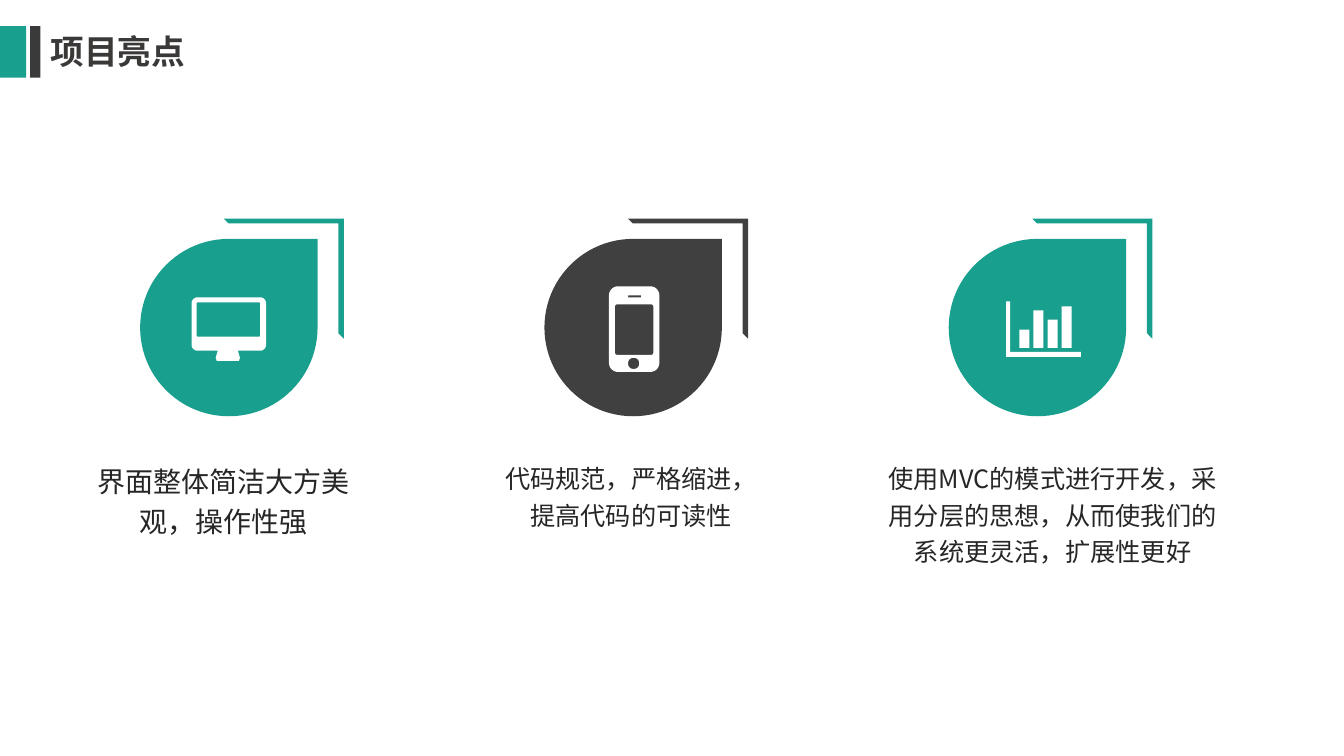
from math import cos, pi, sin

from lxml import etree
from pptx import Presentation, util as u
from pptx.dml.color import RGBColor
from pptx.enum import shapes, text
from pptx.oxml.ns import qn

FONT = "Noto Sans CJK SC"
TEAL, GRAY, WHITE = "199F8E", "404040", "FFFFFF"
TITLE_COLOR, BODY_COLOR, BAR_COLOR = "3B3838", "262626", "3A3A3A"
DROP_SIZE, DROP_TOP, FIRST_LEFT, COLUMN_PITCH = 1.76, 2.37, 1.39, 4.01


def color(hex_string):
    """Turn a hex string into a colour."""
    return RGBColor.from_string(hex_string)


def paint(shape, fill):
    """Give a shape a flat fill with no line or shadow."""
    shape.shadow.inherit = False
    shape.fill.solid()
    shape.fill.fore_color.rgb = color(fill)
    shape.line.fill.background()


def add_block(slide, preset, left, top, width, height, fill):
    """Add a flat preset shape."""
    shape = slide.shapes.add_shape(preset, *map(u.Inches, (left, top, width, height)))
    paint(shape, fill)
    return shape


def write(frame, words, size, fill, bold=False, align=text.PP_ALIGN.CENTER, spacing=1.0, after=0):
    """Write one formatted paragraph into a text frame."""
    frame.word_wrap = True
    paragraph = frame.paragraphs[0]
    paragraph.alignment = align
    paragraph.line_spacing = spacing
    paragraph.space_before = u.Pt(0)
    paragraph.space_after = u.Pt(after)
    run = paragraph.add_run()
    run.text = words
    run.font.size = u.Pt(size)
    run.font.bold = bold
    run.font.color.rgb = color(fill)
    run.font.name = FONT
    etree.SubElement(run._r.get_or_add_rPr(), qn("a:ea"), typeface=FONT)


def rounded(left, top, width, height, radius=0.0):
    """Return the outline of a rectangle with rounded corners."""
    if not radius:
        return [(left, top), (left + width, top),
                (left + width, top + height), (left, top + height)]
    centers = [(left + width - radius, top + height - radius), (left + radius, top + height - radius),
               (left + radius, top + radius), (left + width - radius, top + radius)]
    steps = 6
    return [(x + radius * cos(angle), y + radius * sin(angle))
            for corner, (x, y) in enumerate(centers)
            for angle in ((corner + step / steps) * pi / 2 for step in range(steps + 1))]


def monitor_outlines():
    """Return the screen and stand of the monitor icon."""
    stand = [(0.26, 0.53), (0.46, 0.53), (0.48, 0.6), (0.47, 0.63), (0.25, 0.63), (0.24, 0.6)]
    return [rounded(0, 0, 0.74, 0.53, 0.06), rounded(0.05, 0.05, 0.63, 0.34, 0.01), stand]


def phone_outlines():
    """Return the body, screen, speaker and button of the phone icon."""
    return [rounded(0, 0, 0.5, 0.85, 0.09), rounded(0.06, 0.18, 0.38, 0.5, 0.02),
            rounded(0.19, 0.09, 0.13, 0.02), rounded(0.19, 0.71, 0.11, 0.11, 0.05)]


def chart_outlines():
    """Return the axes and bars of the chart icon."""
    axes = [(0, 0), (0.04, 0), (0.04, 0.5), (0.74, 0.5), (0.74, 0.55), (0, 0.55)]
    heights = (0.18, 0.37, 0.28, 0.41)
    return [axes] + [rounded(0.13 + 0.14 * index, 0.46 - height, 0.1, height)
                     for index, height in enumerate(heights)]


def add_icon(slide, left, top, outlines):
    """Draw closed outlines as one white freeform."""
    contours = [[(u.Inches(left + x), u.Inches(top + y)) for x, y in outline]
                for outline in outlines]
    builder = slide.shapes.build_freeform(*contours[0][0])
    for index, points in enumerate(contours):
        if index:
            builder.move_to(*points[0])
        builder.add_line_segments(points[1:], close=True)
    paint(builder.convert_to_shape(), WHITE)


def add_header(slide, left, top, height, words):
    """Place the two bars and the title."""
    add_block(slide, shapes.MSO_SHAPE.RECTANGLE, left, top, 0.26, height, TEAL)
    add_block(slide, shapes.MSO_SHAPE.RECTANGLE, left + 0.3, top, 0.1, height, BAR_COLOR)
    title = slide.shapes.title
    title.left, title.top = u.Inches(left + 0.4), u.Inches(top)
    title.width, title.height = u.Inches(2.99), u.Inches(0.5)
    title.text_frame.auto_size = text.MSO_AUTO_SIZE.NONE
    title.text_frame.vertical_anchor = text.MSO_ANCHOR.MIDDLE
    write(title.text_frame, words, 24, TITLE_COLOR, bold=True, align=text.PP_ALIGN.LEFT)


def add_highlight(slide, left, top, fill, outlines, icon_offset, words, size, text_box):
    """Place a teardrop, its corner frame, icon and caption."""
    add_block(slide, shapes.MSO_SHAPE.TEAR, left, top, DROP_SIZE, DROP_SIZE, fill)
    corner = add_block(slide, shapes.MSO_SHAPE.HALF_FRAME, left + 0.83, top - 0.2, 1.19, 1.19, fill)
    corner.rotation = 90
    corner.adjustments[0], corner.adjustments[1] = 0.046, 0.039
    add_icon(slide, left + icon_offset[0], top + icon_offset[1], outlines)
    shift, width, height = text_box
    caption = slide.shapes.add_textbox(
        *map(u.Inches, (left + shift, top + 2.17, width, height)))
    frame = caption.text_frame
    frame.margin_left = frame.margin_right = frame.margin_top = frame.margin_bottom = 0
    write(frame, words, size, BODY_COLOR, spacing=1.2, after=6)


def main():
    """Build and save the project highlights slide."""
    presentation = Presentation()
    presentation.slide_width, presentation.slide_height = u.Inches(13.33), u.Inches(7.5)
    slide = presentation.slides.add_slide(presentation.slide_layouts[5])
    add_header(slide, 0, 0.26, 0.51, "项目亮点")
    highlights = [
        (TEAL, monitor_outlines(), (0.51, 0.58),
         "界面整体简洁大方美观，操作性强", 20, (-0.47, 2.6, 0.79)),
        (GRAY, phone_outlines(), (0.64, 0.47),
         "代码规范，严格缩进，提高代码的可读性", 18, (-0.44, 2.6, 0.79)),
        (TEAL, chart_outlines(), (0.57, 0.62),
         "使用MVC的模式进行开发，采用分层的思想，从而使我们的系统更灵活，扩展性更好",
         18, (-0.6, 3.26, 0.99)),
    ]
    for index, highlight in enumerate(highlights):
        add_highlight(slide, FIRST_LEFT + index * COLUMN_PITCH, DROP_TOP, *highlight)
    presentation.save("out.pptx")


if __name__ == "__main__":
    main()
